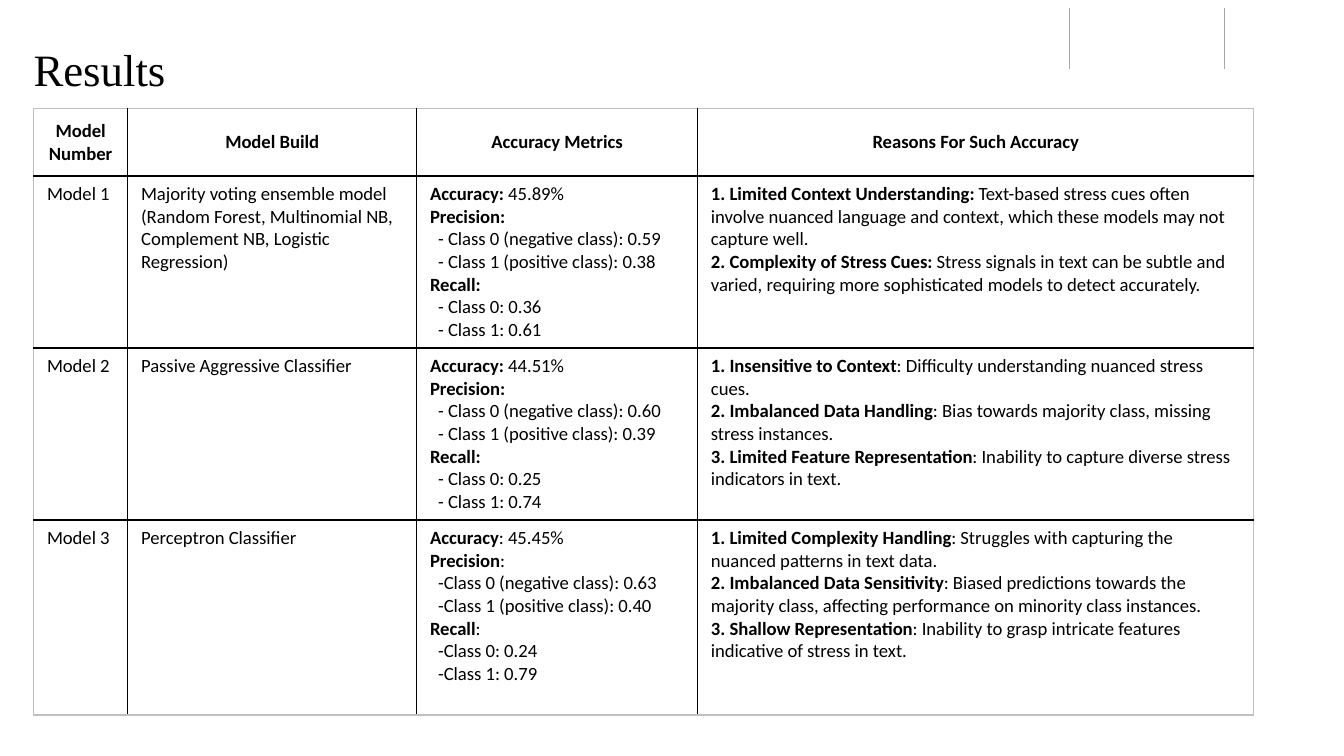
from dataclasses import dataclass

from lxml.etree import SubElement
from pptx import Presentation
from pptx.dml.color import RGBColor
from pptx.enum.shapes import MSO_CONNECTOR
from pptx.enum.text import MSO_ANCHOR, PP_ALIGN
from pptx.oxml.ns import qn
from pptx.util import Inches, Pt

COLORS = {"ink": "000000", "paper": "FFFFFF", "rule": "A6A6A6", "frame": "BFBFBF"}
COLUMN_WIDTHS = [0.7, 2.15, 2.09, 4.14]
ROW_HEIGHTS = [0.5, 1.28, 1.28, 1.45]
HEADINGS = ["Model Number", "Model Build", "Accuracy Metrics", "Reasons For Such Accuracy"]


@dataclass(frozen=True)
class Line:
    bold: str = ""
    plain: str = ""
    indent: float = 0


@dataclass(frozen=True)
class Model:
    name: str
    build: str
    accuracy: str
    precision: tuple[str, str]
    recall: tuple[str, str]
    reasons: list[Line]
    bold_colon: bool = True
    dash: str = "- "

    def metrics(self) -> list[Line]:
        def label(word: str, value: str = "") -> Line:
            return Line(word + ":", value) if self.bold_colon else Line(word, ":" + value)

        def scores(values: tuple[str, str], notes: tuple[str, str]) -> list[Line]:
            return [
                Line(plain=f"{self.dash}Class {index}{note}: {value}", indent=0.06)
                for index, (value, note) in enumerate(zip(values, notes))
            ]

        return [
            label("Accuracy", f" {self.accuracy}"),
            label("Precision"),
            *scores(self.precision, (" (negative class)", " (positive class)")),
            label("Recall"),
            *scores(self.recall, ("", "")),
        ]


MODELS = [
    Model(
        "Model 1",
        "Majority voting ensemble model (Random Forest, Multinomial NB, Complement NB, Logistic Regression)",
        "45.89%", ("0.59", "0.38"), ("0.36", "0.61"),
        [
            Line("1. Limited Context Understanding: ",
                 "Text-based stress cues often involve nuanced language and context, "
                 "which these models may not capture well."),
            Line("2. Complexity of Stress Cues: ",
                 "Stress signals in text can be subtle and varied, "
                 "requiring more sophisticated models to detect accurately."),
        ],
    ),
    Model(
        "Model 2", "Passive Aggressive Classifier",
        "44.51%", ("0.60", "0.39"), ("0.25", "0.74"),
        [
            Line("1. Insensitive to Context", ": Difficulty understanding nuanced stress cues."),
            Line("2. Imbalanced Data Handling",
                 ": Bias towards majority class, missing stress instances."),
            Line("3. Limited Feature Representation",
                 ": Inability to capture diverse stress indicators in text."),
        ],
    ),
    Model(
        "Model 3", "Perceptron Classifier",
        "45.45%", ("0.63", "0.40"), ("0.24", "0.79"),
        [
            Line("1. Limited Complexity Handling",
                 ": Struggles with capturing the nuanced patterns in text data."),
            Line("2. Imbalanced Data Sensitivity",
                 ": Biased predictions towards the majority class, "
                 "affecting performance on minority class instances."),
            Line("3. Shallow Representation",
                 ": Inability to grasp intricate features indicative of stress in text."),
        ],
        bold_colon=False, dash="-",
    ),
]


def color(name: str) -> RGBColor:
    return RGBColor.from_string(COLORS[name])


def style(font, name: str, size: float) -> None:
    font.name = name
    font.size = Pt(size)
    font.color.rgb = color("ink")


def add_rule(page, left: float) -> None:
    rule = page.shapes.add_connector(
        MSO_CONNECTOR.STRAIGHT, Inches(left), Inches(0.06), Inches(left), Inches(0.51)
    )
    rule.line.color.rgb = color("rule")
    rule.line.width = Pt(0.75)
    SubElement(rule._element.spPr, qn("a:effectLst"))


def add_title(page, text: str) -> None:
    box = page.shapes.add_textbox(Inches(0.25), Inches(0.3), Inches(2), Inches(0.41))
    frame = box.text_frame
    frame.word_wrap = True
    frame.vertical_anchor = MSO_ANCHOR.BOTTOM
    frame.margin_left = frame.margin_right = frame.margin_top = frame.margin_bottom = 0
    para = frame.paragraphs[0]
    para.text = text
    style(para.font, "Times New Roman", 24)


def set_borders(cell, outer_sides: dict[str, bool]) -> None:
    properties = cell._tc.get_or_add_tcPr()
    for side, is_outer in outer_sides.items():
        width = Pt(0.75 if is_outer else 1)
        border = SubElement(properties, qn(f"a:ln{side}"), w=str(width))
        fill = SubElement(border, qn("a:solidFill"))
        SubElement(fill, qn("a:srgbClr"), val=COLORS["frame" if is_outer else "ink"])


def write_lines(cell, lines: list[Line]) -> None:
    frame = cell.text_frame
    for index, line in enumerate(lines):
        para = frame.add_paragraph() if index else frame.paragraphs[0]
        if line.indent:
            para._p.get_or_add_pPr().set("marL", str(Inches(line.indent)))
        for text, is_bold in ((line.bold, True), (line.plain, False)):
            if text:
                span = para.add_run()
                span.text = text
                style(span.font, "Calibri", 10)
                span.font.bold = is_bold


def add_results_table(page) -> None:
    rows = [[[Line(heading)] for heading in HEADINGS]] + [
        [[Line(plain=model.name)], [Line(plain=model.build)], model.metrics(), model.reasons]
        for model in MODELS
    ]
    last_row, last_column = len(rows) - 1, len(HEADINGS) - 1
    table = page.shapes.add_table(
        len(rows), len(HEADINGS), Inches(0.25), Inches(0.81),
        Inches(sum(COLUMN_WIDTHS)), Inches(sum(ROW_HEIGHTS)),
    ).table
    table.first_row = table.horz_banding = False
    for column, width in zip(table.columns, COLUMN_WIDTHS):
        column.width = Inches(width)
    for row, height in zip(table.rows, ROW_HEIGHTS):
        row.height = Inches(height)
    for row_index, contents in enumerate(rows):
        for column_index, lines in enumerate(contents):
            cell = table.cell(row_index, column_index)
            set_borders(cell, {
                "L": column_index == 0,
                "R": column_index == last_column,
                "T": row_index == 0,
                "B": row_index == last_row,
            })
            cell.fill.solid()
            cell.fill.fore_color.rgb = color("paper")
            write_lines(cell, lines)
            if row_index == 0:
                cell.vertical_anchor = MSO_ANCHOR.MIDDLE
                cell.text_frame.paragraphs[0].alignment = PP_ALIGN.CENTER


def main() -> None:
    deck = Presentation()
    deck.slide_width = Inches(10)
    deck.slide_height = deck.slide_width * 9 // 16
    page = deck.slides.add_slide(deck.slide_layouts[6])
    for left in (7.96, 9.11):
        add_rule(page, left)
    add_title(page, "Results")
    add_results_table(page)
    deck.save("out.pptx")


if __name__ == "__main__":
    main()
